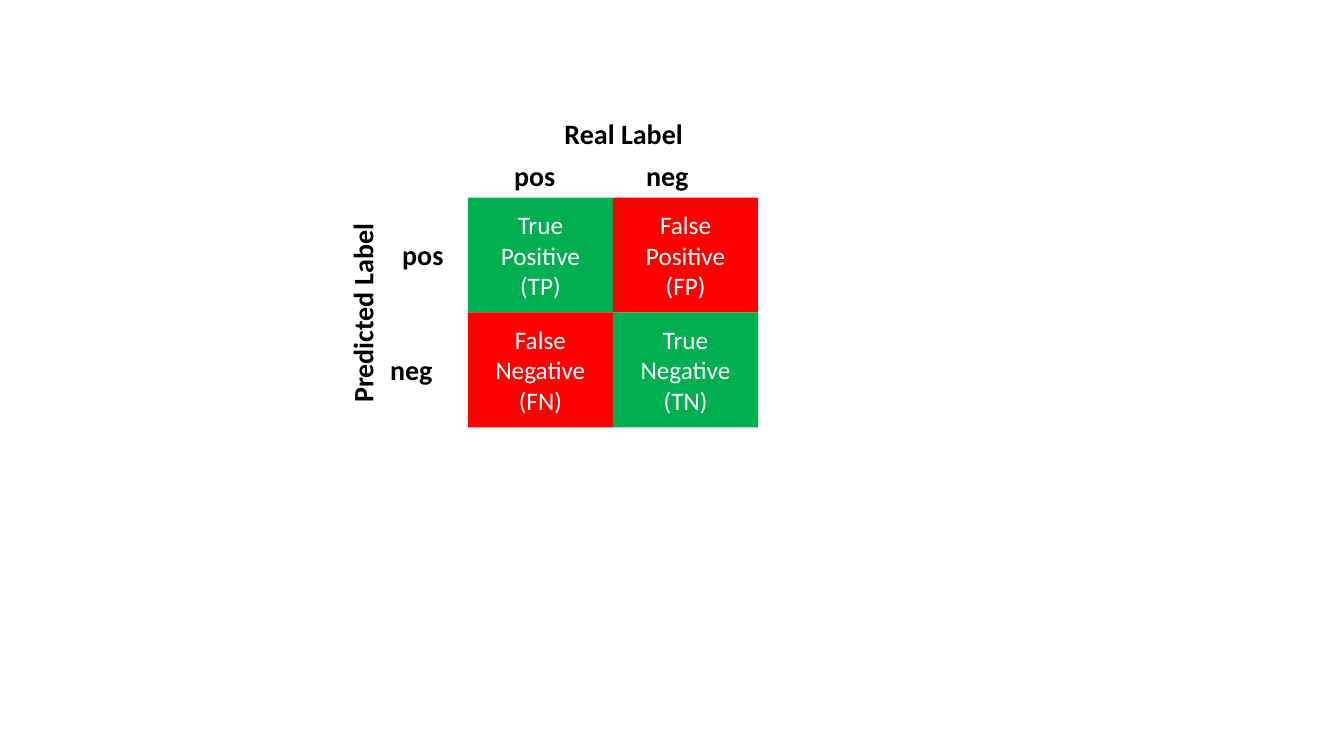
"""Build a slide with a two-by-two confusion matrix."""
from dataclasses import dataclass

from pptx import Presentation
from pptx import util as u
from pptx.dml.color import RGBColor
from pptx.enum import shapes, text

CELLS = [
    [("True Positive", "(TP)"), ("False Positive", "(FP)")],
    [("False Negative", "(FN)"), ("True Negative", "(TN)")],
]
LABELS = [
    ("Real Label", 5.5, 1.11, 1.39, 0),
    ("pos", 5.0, 1.52, 0.62, 0),
    ("neg", 6.31, 1.52, 0.63, 0),
    ("Predicted Label", 2.6, 2.88, 1.99, 270),
    ("pos", 3.89, 2.31, 0.62, 0),
    ("neg", 3.77, 3.45, 0.63, 0),
]
GRID_LEFT, GRID_TOP = 4.64, 1.96
CELL_WIDTH, CELL_HEIGHT = 1.44, 1.14
LABEL_HEIGHT = 0.44


@dataclass(frozen=True)
class Theme:
    font: str = "Calibri"
    correct: str = "00B050"
    wrong: str = "FF0000"
    cell_text: str = "FFFFFF"
    label_text: str = "000000"
    cell_size: int = 18
    label_size: int = 20


THEME = Theme()


def write(box, lines, *, size, color, bold=False, align=None):
    for index, line in enumerate(lines):
        frame = box.text_frame
        para = frame.add_paragraph() if index else frame.paragraphs[0]
        para.alignment = align
        span = para.add_run()
        span.text = line
        span.font.name = THEME.font
        span.font.size = u.Pt(size)
        span.font.bold = bold
        span.font.color.rgb = RGBColor.from_string(color)


def add_cell(page, row, column, lines):
    box = page.shapes.add_shape(
        shapes.MSO_SHAPE.RECTANGLE,
        u.Inches(GRID_LEFT + column * CELL_WIDTH),
        u.Inches(GRID_TOP + row * CELL_HEIGHT),
        u.Inches(CELL_WIDTH), u.Inches(CELL_HEIGHT))
    box.shadow.inherit = False
    box.fill.solid()
    fill = THEME.correct if row == column else THEME.wrong
    box.fill.fore_color.rgb = RGBColor.from_string(fill)
    box.line.fill.background()
    box.text_frame.word_wrap = True
    box.text_frame.vertical_anchor = text.MSO_ANCHOR.MIDDLE
    write(box, lines, size=THEME.cell_size, color=THEME.cell_text,
          align=text.PP_ALIGN.CENTER)


def add_label(page, label, left, top, width, rotation):
    box = page.shapes.add_textbox(
        u.Inches(left), u.Inches(top), u.Inches(width), u.Inches(LABEL_HEIGHT))
    box.rotation = rotation
    box.text_frame.word_wrap = False
    box.text_frame.auto_size = text.MSO_AUTO_SIZE.SHAPE_TO_FIT_TEXT
    write(box, [label], size=THEME.label_size, color=THEME.label_text, bold=True)


def main():
    deck = Presentation()
    deck.slide_width, deck.slide_height = u.Inches(13.33), u.Inches(7.5)
    page = deck.slides.add_slide(deck.slide_layouts[6])
    for row, cells in enumerate(CELLS):
        for column, lines in enumerate(cells):
            add_cell(page, row, column, lines)
    for label in LABELS:
        add_label(page, *label)
    deck.save("out.pptx")


if __name__ == "__main__":
    main()
